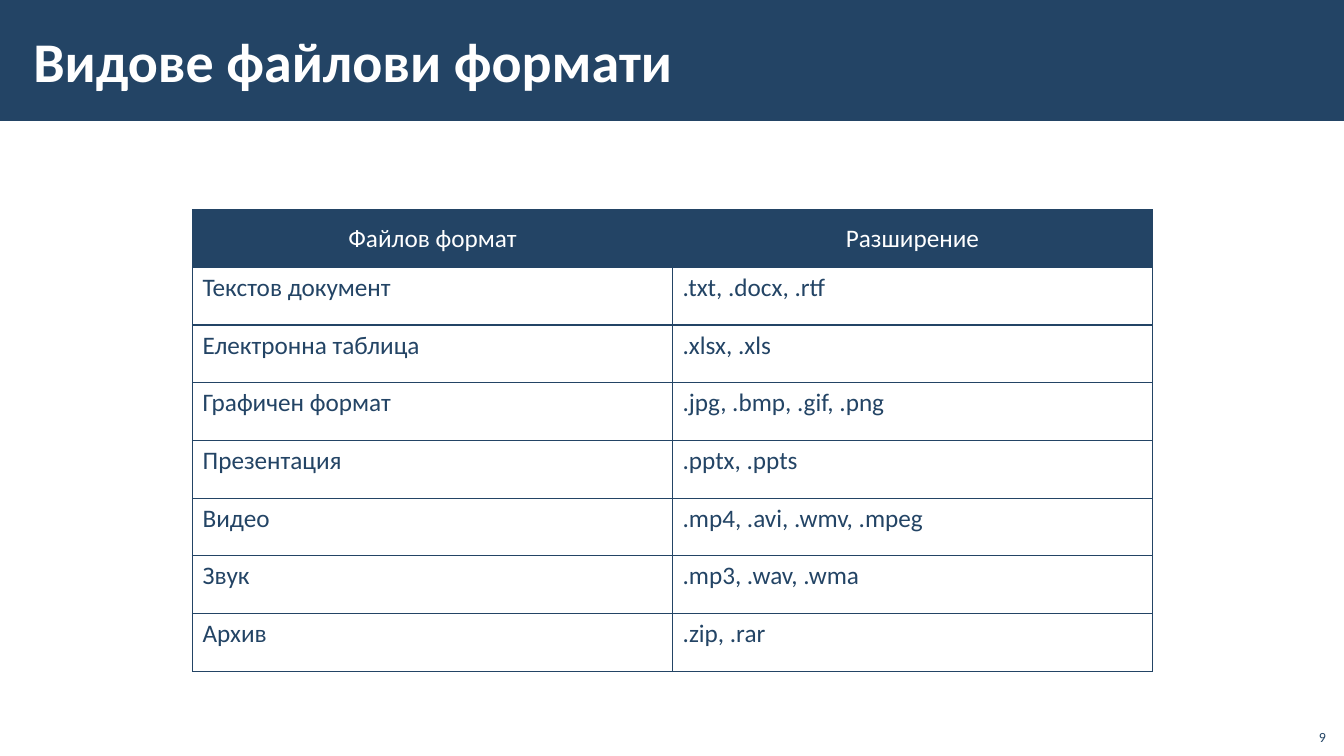
from lxml.etree import SubElement
from pptx import Presentation
from pptx.dml.color import RGBColor
from pptx.enum.shapes import MSO_SHAPE
from pptx.enum.text import MSO_ANCHOR, PP_ALIGN
from pptx.oxml.ns import qn
from pptx.util import Inches, Pt

COLORS = {"navy": "234465", "white": "FFFFFF"}
TITLE = "Видове файлови формати"
NUMBER = "9"
ROWS = [
    ("Файлов формат", "Разширение"),
    ("Текстов документ", ".txt, .docx, .rtf"),
    ("Електронна таблица", ".xlsx, .xls"),
    ("Графичен формат", ".jpg, .bmp, .gif, .png"),
    ("Презентация", ".pptx, .ppts"),
    ("Видео", ".mp4, .avi, .wmv, .mpeg"),
    ("Звук", ".mp3, .wav, .wma"),
    ("Архив", ".zip, .rar"),
]
BAR = (0, 0, 13.33, 1.2)
HEAD = (0.21, 0.11, 11.23, 0.97)
PAGE = (12.85, 7.12, 0.4, 0.32)
GRID = (1.91, 2.08, 9.52, 4.58)
FONTS = {
    "title": {"size": Pt(40), "bold": True, "name": "Calibri"},
    "cell": {"size": Pt(18), "bold": False, "name": "Calibri"},
    "page": {"size": Pt(10), "bold": False, "name": "Calibri"},
}


def color(name):
    return RGBColor.from_string(COLORS[name])


def place(box):
    return [Inches(value) for value in box]


def write(frame, text, style, tint, align, anchor):
    frame.text = text
    frame.word_wrap = True
    frame.vertical_anchor = anchor
    line = frame.paragraphs[0]
    line.alignment = align
    font = line.runs[0].font
    for key, value in FONTS[style].items():
        setattr(font, key, value)
    font.color.rgb = color(tint)


def border(cell):
    props = cell._tc.get_or_add_tcPr()
    for spot, side in enumerate(("lnL", "lnR", "lnT", "lnB")):
        line = props.makeelement(qn("a:" + side), {"w": str(Pt(1))})
        fill = SubElement(line, qn("a:solidFill"))
        SubElement(fill, qn("a:srgbClr"), val=COLORS["navy"])
        props.insert(spot, line)


def add_bar(slide):
    bar = slide.shapes.add_shape(MSO_SHAPE.RECTANGLE, *place(BAR))
    bar.shadow.inherit = False
    bar.fill.solid()
    bar.fill.fore_color.rgb = color("navy")
    bar.line.fill.background()
    slide.shapes._spTree.insert(2, bar._element)


def add_title(slide):
    title = slide.shapes.title
    title.left, title.top, title.width, title.height = place(HEAD)
    frame = title.text_frame
    frame.margin_left = frame.margin_right = Inches(0.12)
    frame.margin_top = frame.margin_bottom = Inches(0.04)
    write(frame, TITLE, "title", "white", PP_ALIGN.LEFT, MSO_ANCHOR.MIDDLE)


def add_grid(slide):
    table = slide.shapes.add_table(len(ROWS), len(ROWS[0]), *place(GRID)).table
    table.horz_banding = False
    for r, row in enumerate(ROWS):
        for c, text in enumerate(row):
            cell = table.cell(r, c)
            if r == 0:
                cell.fill.solid()
                cell.fill.fore_color.rgb = color("navy")
                look = ("white", PP_ALIGN.CENTER, MSO_ANCHOR.MIDDLE)
            else:
                cell.fill.background()
                look = ("navy", PP_ALIGN.LEFT, MSO_ANCHOR.TOP)
            tint, align, anchor = look
            write(cell.text_frame, text, "cell", tint, align, None)
            cell.vertical_anchor = anchor
            border(cell)


def add_page(slide):
    box = slide.shapes.add_textbox(*place(PAGE))
    write(box.text_frame, NUMBER, "page", "navy", PP_ALIGN.RIGHT, MSO_ANCHOR.BOTTOM)


def main():
    deck = Presentation()
    deck.slide_width, deck.slide_height = Inches(13.33), Inches(7.5)
    slide = deck.slides.add_slide(deck.slide_layouts[5])
    add_bar(slide)
    add_title(slide)
    add_grid(slide)
    add_page(slide)
    deck.save("out.pptx")


if __name__ == "__main__":
    main()
